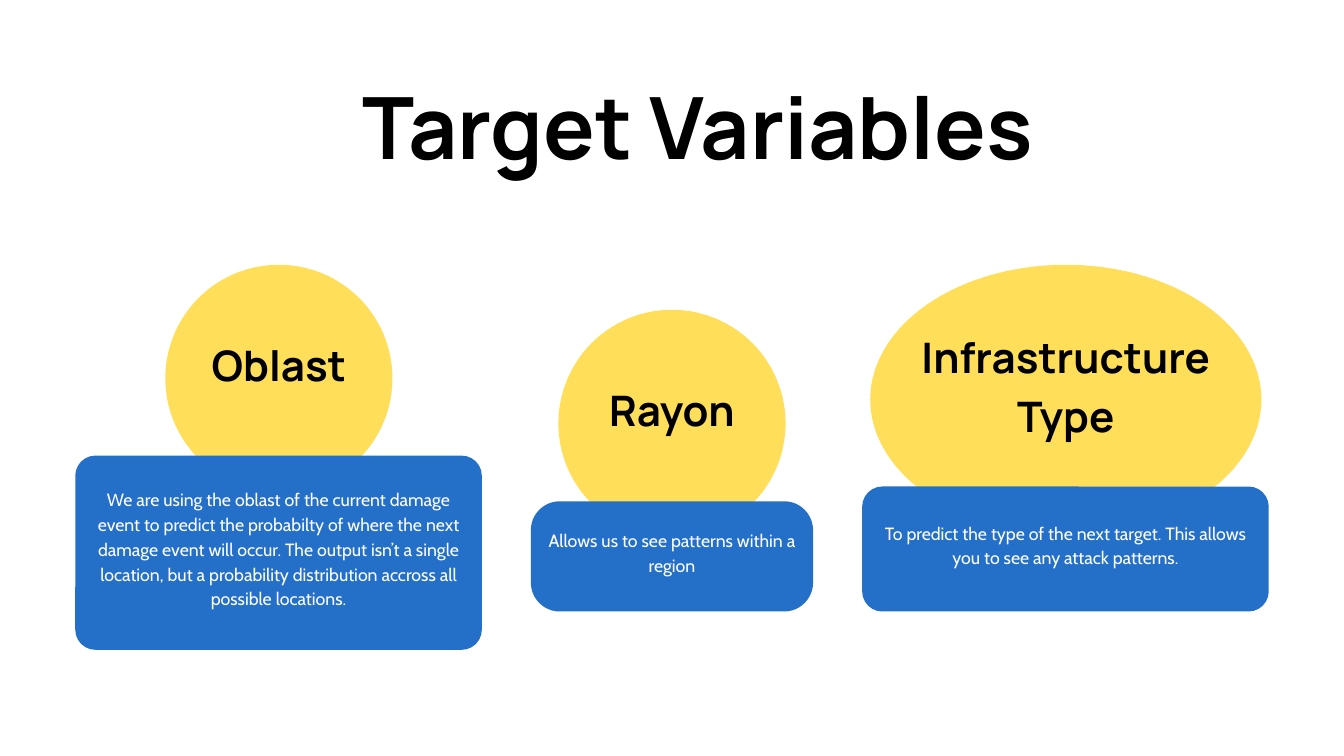
"""Build the Target Variables slide: three ovals, each above a card of text."""
from typing import NamedTuple

from pptx import Presentation
from pptx.dml.color import RGBColor
from pptx.enum import shapes, text
from pptx.util import Inches, Pt

COLORS = {"oval": "FFDE59", "card": "2470C9", "dark": "000000", "light": "FFFFFF"}


class Box(NamedTuple):
    left: float
    top: float
    width: float
    height: float

    def lengths(self) -> list:
        return [Inches(side) for side in self]


class TextFormat(NamedTuple):
    font: dict
    color: str
    spacing: float
    inset: float
    anchor: text.MSO_ANCHOR


class Variable(NamedTuple):
    name: str
    oval: Box
    description: str
    card: Box
    radius: float


TITLE = TextFormat({"name": "Manrope", "size": Pt(92), "bold": True},
                   "dark", 128.8, 0, text.MSO_ANCHOR.TOP)
LABEL = TextFormat({"name": "Manrope", "size": Pt(45), "bold": True},
                   "dark", 63, 0.06, text.MSO_ANCHOR.MIDDLE)
DESCRIPTION = TextFormat({"name": "Cabin", "size": Pt(19), "bold": False},
                         "light", 26.6, 0.19, text.MSO_ANCHOR.MIDDLE)

LABEL_WIDTH, LABEL_HEIGHT, LABEL_RISE = 0.81, 0.95, 0.26
CARD_TEXT_RISE = 0.16

VARIABLES = [
    Variable("Oblast", Box(2.46, 3.94, 3.38, 3.38),
             "We are using the oblast of the current damage event to predict the "
             "probabilty of where the next damage event will occur. The output isn’t "
             "a single location, but a probability distribution accross all possible "
             "locations.",
             Box(1.12, 6.78, 6.05, 2.89), 0.3),
    Variable("Rayon", Box(8.31, 4.61, 3.38, 3.38),
             "Allows us to see patterns within a region",
             Box(7.9, 7.46, 4.2, 1.64), 0.43),
    Variable("Infrastructure Type", Box(12.95, 3.94, 5.82, 4.01),
             "To predict the type of the next target. This allows you to see any "
             "attack patterns.",
             Box(12.83, 7.24, 6.05, 1.86), 0.3),
]


def rgb(color: str) -> RGBColor:
    return RGBColor.from_string(COLORS[color])


def write(holder, wording: str, style: TextFormat) -> None:
    frame = holder.text_frame
    inset = Inches(style.inset)
    frame_format = {"word_wrap": True, "auto_size": text.MSO_AUTO_SIZE.NONE,
                    "vertical_anchor": style.anchor, "margin_left": inset,
                    "margin_top": inset, "margin_right": inset, "margin_bottom": inset}
    for attribute, value in frame_format.items():
        setattr(frame, attribute, value)
    frame.text = wording
    paragraph = frame.paragraphs[0]
    paragraph.alignment = text.PP_ALIGN.CENTER
    paragraph.line_spacing = Pt(style.spacing)
    font = paragraph.runs[0].font
    for attribute, value in style.font.items():
        setattr(font, attribute, value)
    font.color.rgb = rgb(style.color)


def add_filled(slide, preset: shapes.MSO_SHAPE, box: Box, color: str):
    shape = slide.shapes.add_shape(preset, *box.lengths())
    shape.shadow.inherit = False
    shape.fill.solid()
    shape.fill.fore_color.rgb = rgb(color)
    shape.line.fill.background()
    return shape


def add_text(slide, box: Box, wording: str, style: TextFormat) -> None:
    write(slide.shapes.add_textbox(*box.lengths()), wording, style)


def add_variable(slide, variable: Variable) -> None:
    oval, card = variable.oval, variable.card
    add_filled(slide, shapes.MSO_SHAPE.OVAL, oval, "oval")
    width, height = oval.width * LABEL_WIDTH, oval.height * LABEL_HEIGHT
    label = Box(oval.left + (oval.width - width) / 2,
                oval.top + (oval.height - height) / 2 - LABEL_RISE, width, height)
    add_text(slide, label, variable.name, LABEL)

    panel = add_filled(slide, shapes.MSO_SHAPE.ROUNDED_RECTANGLE, card, "card")
    panel.adjustments[0] = variable.radius / min(card.width, card.height)
    body = card._replace(top=card.top - CARD_TEXT_RISE,
                         height=card.height + CARD_TEXT_RISE)
    add_text(slide, body, variable.description, DESCRIPTION)


def main() -> None:
    deck = Presentation()
    deck.slide_width, deck.slide_height = Inches(20), Inches(11.25)
    slide = deck.slides.add_slide(deck.slide_layouts.get_by_name("Title Only"))
    title = slide.shapes.title
    title.left, title.top, title.width, title.height = Box(4.91, 0.84, 10.95, 1.81).lengths()
    write(title, "Target Variables", TITLE)
    for variable in VARIABLES:
        add_variable(slide, variable)
    deck.save("out.pptx")


if __name__ == "__main__":
    main()
